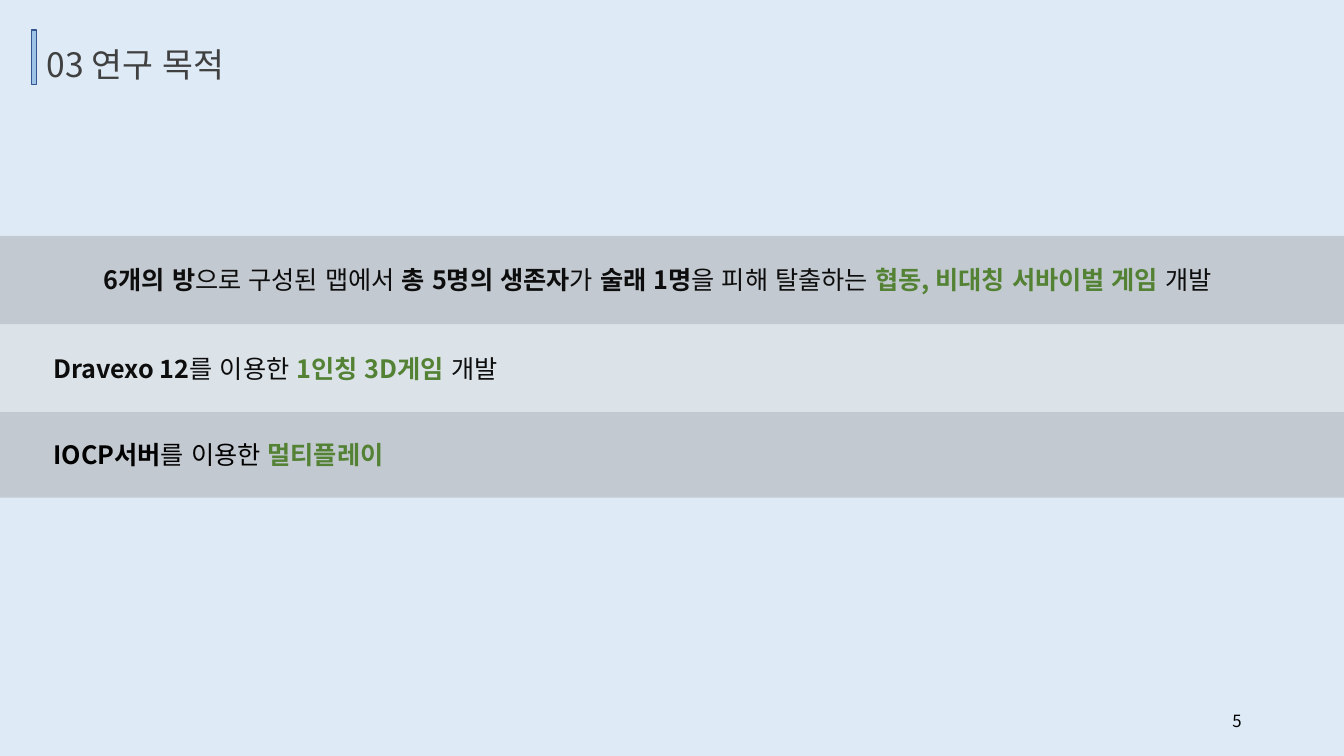
from pptx import Presentation
from pptx.dml.color import RGBColor as RGB
from pptx.enum.lang import MSO_LANGUAGE_ID as LANG
from pptx.enum.shapes import MSO_SHAPE as SHAPE
from pptx.enum.text import MSO_ANCHOR as ANCHOR, MSO_AUTO_SIZE as FIT, PP_ALIGN as ALIGN
from pptx.oxml.ns import qn
from pptx.util import Pt
from lxml import etree

FONT = "Noto Sans CJK KR"
SKY = RGB(0xDE, 0xEB, 0xF7)
BLUE = RGB(0x9D, 0xC3, 0xE6)
NAVY = RGB(0x32, 0x54, 0x91)
GRAY = RGB(0xA6, 0xA6, 0xA6)
PALE = RGB(0xD9, 0xD9, 0xD9)
DARK = RGB(0x40, 0x40, 0x40)
INK = RGB(0x0D, 0x0D, 0x0D)
BLACK = RGB(0, 0, 0)
GREEN = RGB(0x54, 0x82, 0x35)

WIDE, HIGH = 960, 540
TOP = 168.5
LINE = 29

# Each band: fill, height, left indent, runs of (text, colour, bold)
BANDS = [
    (GRAY, 63, 36, [
        ("6개의 방", INK, True), ("으로 구성된 맵에서 ", INK, False),
        ("총 5명의 생존자", INK, True), ("가 ", INK, False),
        ("술래 1명", INK, True), ("을 피해 탈출하는 ", INK, False),
        ("협동, 비대칭 서바이벌 게임 ", GREEN, True), ("개발", INK, False)]),
    (PALE, 63, 0, [
        ("Dravexo 12", INK, True), ("를 이용한 ", INK, False),
        ("1인칭 3D게임", GREEN, True), (" 개발", INK, False)]),
    (GRAY, 61, 0, [
        ("IOCP서버", BLACK, True), ("를 이용한 ", BLACK, False),
        ("멀티플레이", GREEN, True)]),
]


def place(shape, left, top, width, height):
    shape.left, shape.top = Pt(left), Pt(top)
    shape.width, shape.height = Pt(width), Pt(height)


def add_rect(slide, left, top, width, height, fill):
    rect = slide.shapes.add_shape(
        SHAPE.RECTANGLE, Pt(left), Pt(top), Pt(width), Pt(height))
    rect.shadow.inherit = False
    rect.fill.solid()
    rect.fill.fore_color.rgb = fill
    rect.line.fill.background()
    return rect


def set_alpha(shape, percent):
    color = shape.fill._xPr.find(f"{qn('a:solidFill')}/{qn('a:srgbClr')}")
    etree.SubElement(color, qn("a:alpha"), val=str(percent * 1000))


def write(shape, runs, size, align=ALIGN.LEFT, anchor=ANCHOR.TOP, indent=0):
    frame = shape.text_frame
    frame.word_wrap = True
    frame.auto_size = FIT.NONE
    frame.vertical_anchor = anchor
    para = frame.paragraphs[0]
    para.alignment = align
    if indent:
        para._p.get_or_add_pPr().set("marL", str(Pt(indent)))
    for text, color, bold in runs:
        run = para.add_run()
        run.text = text
        font = run.font
        font.name, font.size, font.bold = FONT, Pt(size), bold
        font.language_id = LANG.KOREAN
        font.color.rgb = color
        latin = run._r.rPr.find(qn("a:latin"))
        latin.addnext(latin.makeelement(qn("a:ea"), {"typeface": FONT}))


def add_text(slide, left, top, width, height, runs, size, **style):
    box = slide.shapes.add_textbox(Pt(left), Pt(top), Pt(width), Pt(height))
    write(box, runs, size, **style)


def add_title(slide, text):
    title = slide.shapes.title
    place(title, 26, 27.5, 366.5, 36)
    write(title, [(text, DARK, False)], 24)
    mark = add_rect(slide, 22.5, 21.5, 3.5, 39, BLUE)
    mark.line.color.rgb = NAVY
    mark.line.width = Pt(1)


def add_bands(slide):
    top = TOP
    for fill, height, indent, runs in BANDS:
        set_alpha(add_rect(slide, 0, top, WIDE, height, fill), 48)
        add_text(slide, 31, top + (height - LINE) / 2, 898, LINE, runs, 18,
                 indent=indent)
        top += height


def main():
    deck = Presentation()
    deck.slide_width, deck.slide_height = Pt(WIDE), Pt(HIGH)
    slide = deck.slides.add_slide(deck.slide_layouts[5])
    slide.background.fill.solid()
    slide.background.fill.fore_color.rgb = SKY
    add_title(slide, "03 연구 목적")
    add_bands(slide)
    add_text(slide, 678, 500.5, 216, 29, [("5", BLACK, False)], 12,
             align=ALIGN.RIGHT, anchor=ANCHOR.MIDDLE)
    deck.save("out.pptx")


if __name__ == "__main__":
    main()
